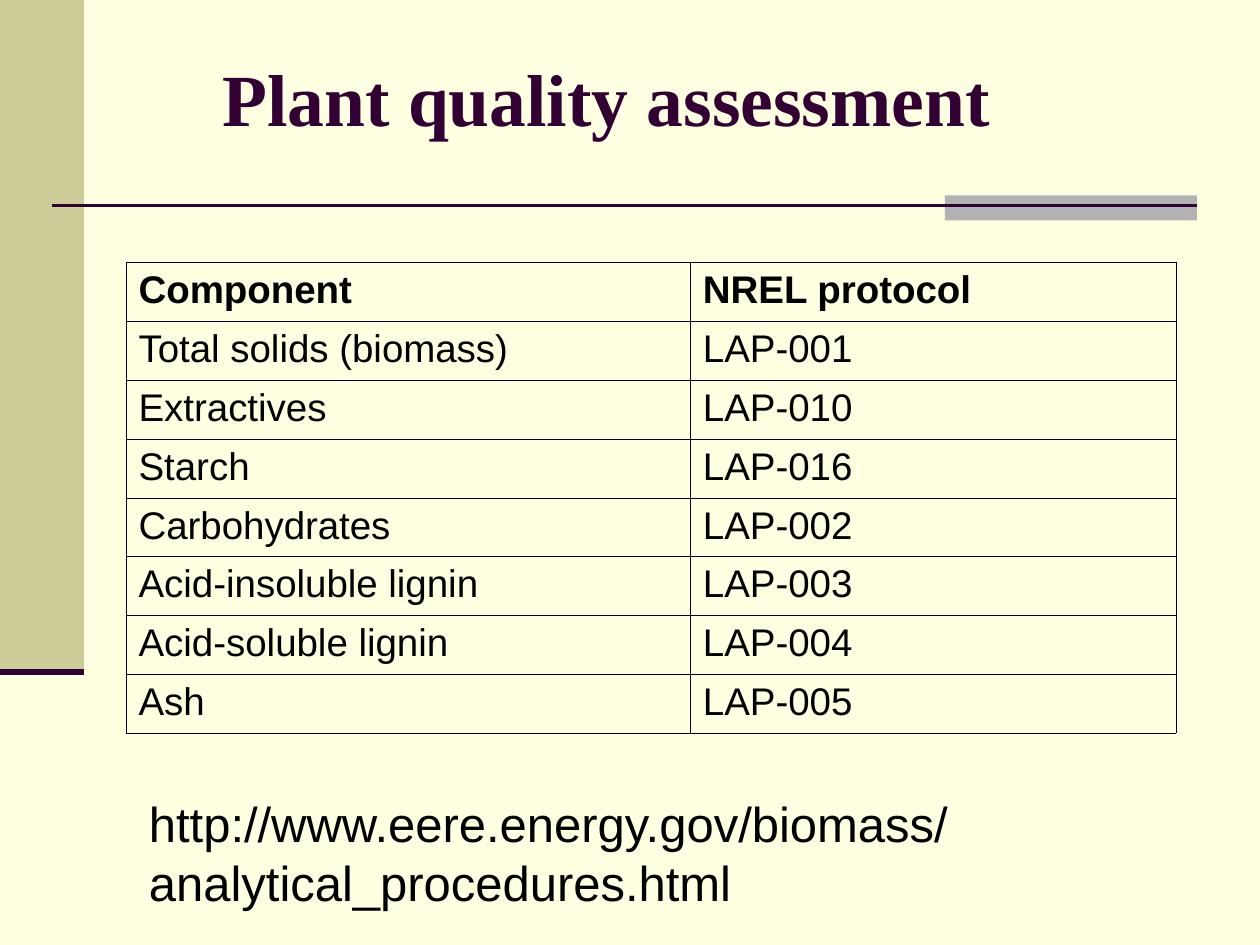
from dataclasses import dataclass

from lxml import etree
from pptx import Presentation
from pptx import util as u
from pptx.dml.color import RGBColor
from pptx.enum import shapes, text
from pptx.oxml.ns import qn

PLUM = "330033"
BLACK = "000000"


@dataclass
class Bar:
    left: float
    top: float
    width: float
    height: float
    color: str


@dataclass
class Rule:
    x1: float
    x2: float
    y: float
    weight: float


@dataclass
class Protocol:
    component: str
    code: str


BARS = [
    Bar(0, 0, 48, 384, "CCCC99"),
    Bar(540, 111.6, 144, 14.4, "B2B2B2"),
]
RULES = [Rule(30, 684, 117.6, 1.5), Rule(0, 48, 384, 3.5)]
PROTOCOLS = [
    Protocol("Component", "NREL protocol"),
    Protocol("Total solids (biomass)", "LAP-001"),
    Protocol("Extractives", "LAP-010"),
    Protocol("Starch", "LAP-016"),
    Protocol("Carbohydrates", "LAP-002"),
    Protocol("Acid-insoluble lignin", "LAP-003"),
    Protocol("Acid-soluble lignin", "LAP-004"),
    Protocol("Ash", "LAP-005"),
]


def paint(fmt, color: str) -> None:
    fmt.solid()
    fmt.fore_color.rgb = RGBColor.from_string(color)


def write(tf, content: str, *, size: float, font: str = "Arial",
          color: str = BLACK, bold: bool = False) -> None:
    r = tf.paragraphs[0].add_run()
    r.text = content
    r.font.name = font
    r.font.size = u.Pt(size)
    r.font.bold = bold
    paint(r.font.fill, color)


def add_box(s, left: float, top: float, width: float, height: float):
    sp = s.shapes.add_textbox(u.Pt(left), u.Pt(top), u.Pt(width), u.Pt(height))
    tf = sp.text_frame
    tf.word_wrap = True
    return tf


def add_bar(s, bar: Bar) -> None:
    sp = s.shapes.add_shape(shapes.MSO_SHAPE.RECTANGLE, u.Pt(bar.left), u.Pt(bar.top),
                            u.Pt(bar.width), u.Pt(bar.height))
    sp.shadow.inherit = False
    paint(sp.fill, bar.color)
    sp.line.fill.background()


def add_rule(s, rule: Rule) -> None:
    sp = s.shapes.add_connector(shapes.MSO_CONNECTOR.STRAIGHT, u.Pt(rule.x1),
                                u.Pt(rule.y), u.Pt(rule.x2), u.Pt(rule.y))
    sp.line.width = u.Pt(rule.weight)
    paint(sp.line.fill, PLUM)
    etree.SubElement(sp._element.spPr, qn("a:effectLst"))


def add_borders(cell, color: str, weight: float) -> None:
    props = cell._tc.get_or_add_tcPr()
    for i, side in enumerate(("lnL", "lnR", "lnT", "lnB")):
        ln = etree.Element(qn(f"a:{side}"), w=str(u.Pt(weight)))
        fill = etree.SubElement(ln, qn("a:solidFill"))
        etree.SubElement(fill, qn("a:srgbClr"), val=color)
        props.insert(i, ln)


def add_protocols(s, rows: list[Protocol]) -> None:
    widths, height = (322.5, 277.5), 33.5
    table = s.shapes.add_table(len(rows), len(widths), u.Pt(72), u.Pt(150),
                               u.Pt(sum(widths)), u.Pt(height * len(rows))).table
    table.first_row = table.horz_banding = False
    for col, width in zip(table.columns, widths):
        col.width = u.Pt(width)
    for i, row in enumerate(rows):
        table.rows[i].height = u.Pt(height)
        for j, content in enumerate((row.component, row.code)):
            cell = table.cell(i, j)
            cell.fill.background()
            add_borders(cell, BLACK, 0.35)
            write(cell.text_frame, content, size=22, bold=i == 0)


def main() -> None:
    prs = Presentation()
    prs.slide_width, prs.slide_height = u.Pt(720), u.Pt(540)
    s = prs.slides.add_slide(prs.slide_layouts[6])
    paint(s.background.fill, "FFFFE1")
    for bar in BARS:
        add_bar(s, bar)
    for rule in RULES:
        add_rule(s, rule)

    title = add_box(s, 120, 18, 600, 120)
    title.vertical_anchor = text.MSO_ANCHOR.TOP
    title.margin_top = u.Pt(12)
    write(title, "Plant quality assessment", size=42, font="Times New Roman",
          color=PLUM, bold=True)

    add_protocols(s, PROTOCOLS)

    link = add_box(s, 78, 450, 600, 75)
    write(link, "http://www.eere.energy.gov/biomass/analytical_procedures.html", size=28)
    prs.save("out.pptx")


if __name__ == "__main__":
    main()
